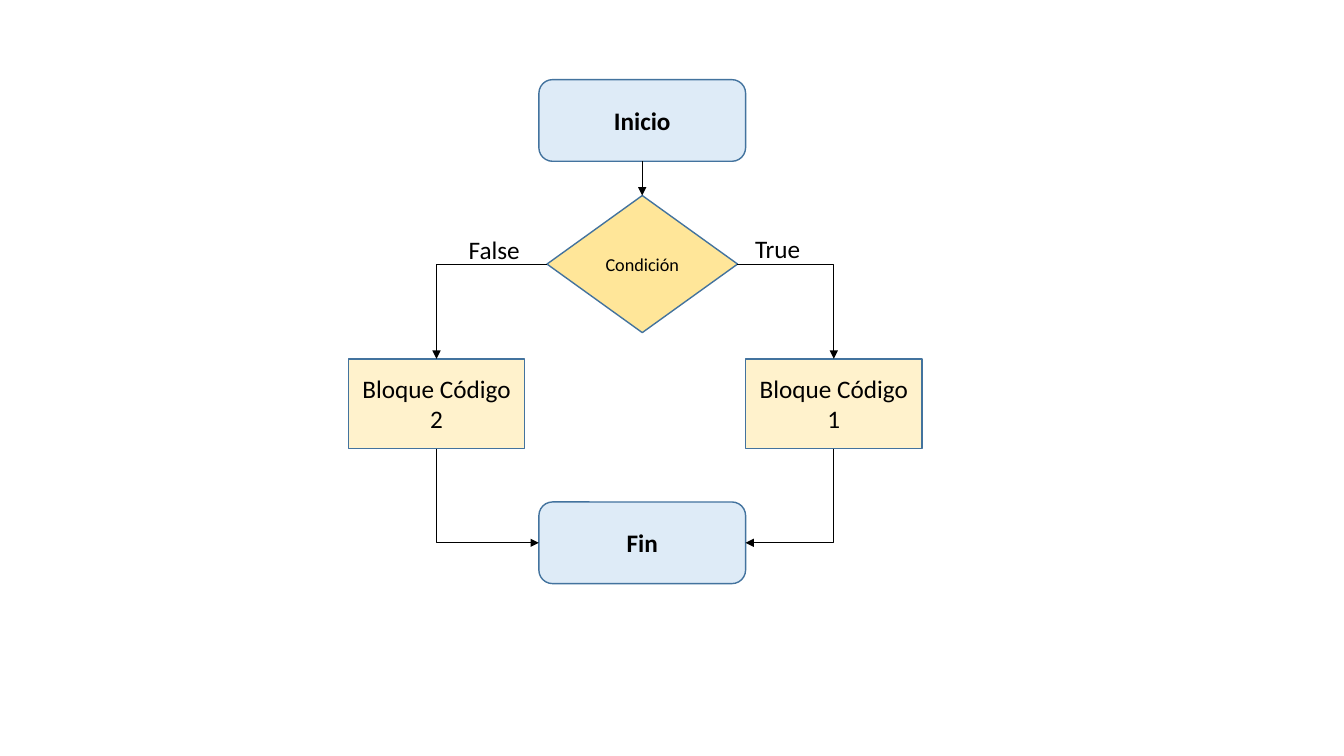
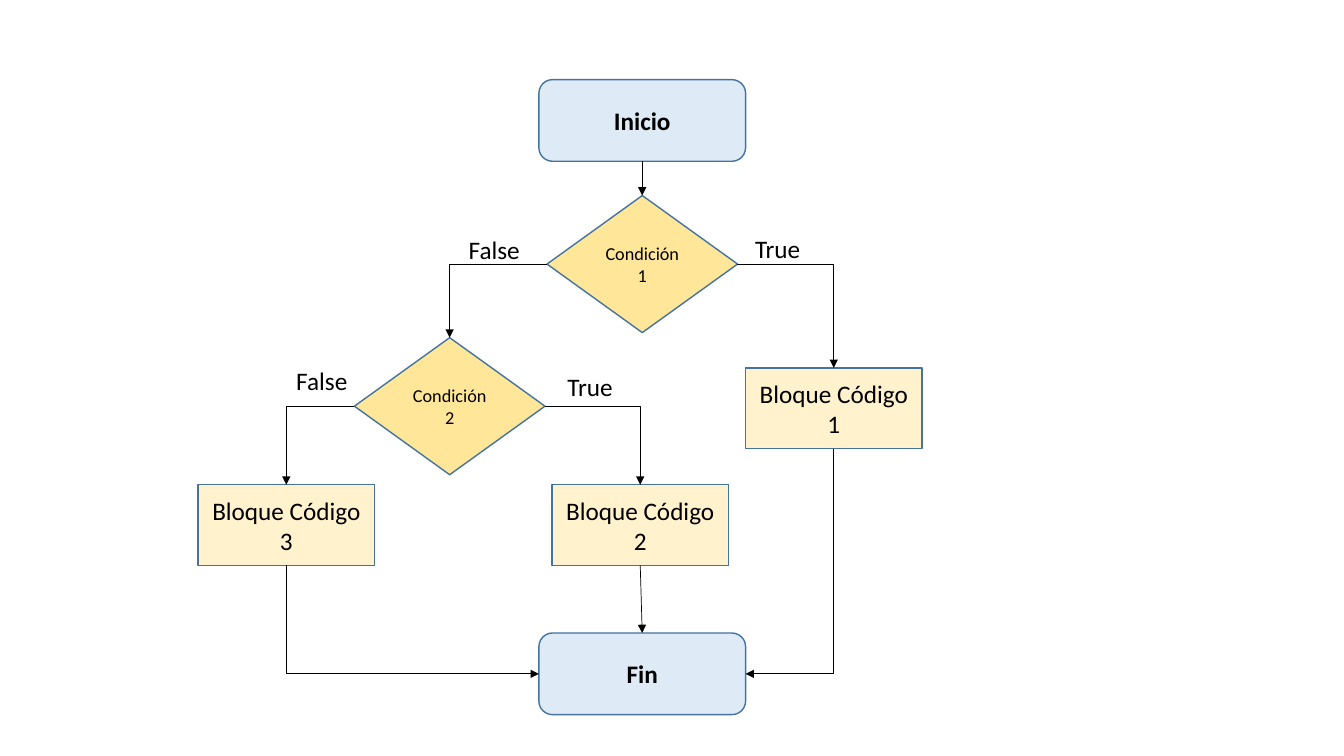
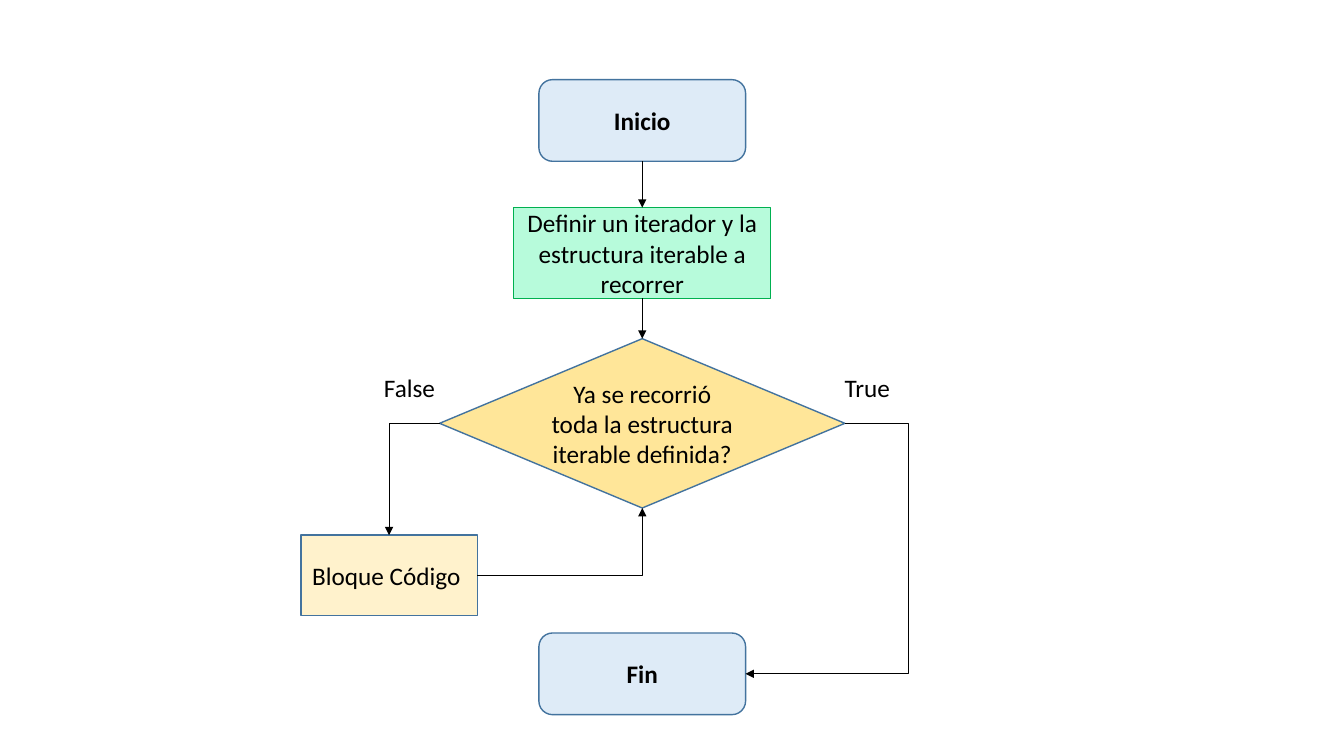
from lxml import etree
from pptx import Presentation
from pptx.dml.color import RGBColor
from pptx.enum.shapes import MSO_CONNECTOR, MSO_SHAPE
from pptx.enum.text import MSO_ANCHOR, PP_ALIGN
from pptx.oxml.ns import qn
from pptx.util import Inches, Pt

ROUNDED = MSO_SHAPE.ROUNDED_RECTANGLE
RECTANGLE = MSO_SHAPE.RECTANGLE
DIAMOND = MSO_SHAPE.DIAMOND
STRAIGHT = MSO_CONNECTOR.STRAIGHT
ELBOW = MSO_CONNECTOR.ELBOW
LEFT, CENTER = PP_ALIGN.LEFT, PP_ALIGN.CENTER
TOP_ANCHOR, MIDDLE = MSO_ANCHOR.TOP, MSO_ANCHOR.MIDDLE

COLORS = {
    "terminal": "DEEBF7",
    "condition": "FFE699",
    "block": "FFF2CC",
    "setup": "B7FBDB",
    "outline": "43739E",
    "setup_outline": "00B050",
    "ink": "000000",
}
FONT = "Calibri"
SITES = {"top": 0, "left": 1, "bottom": 2, "right": 3}
AXIS = 6.37

KINDS = {
    "terminal": dict(preset=ROUNDED, size=(2.05, 0.81), bold=True),
    "condition": dict(preset=DIAMOND, size=(1.89, 1.36), points=13),
    "question": dict(preset=DIAMOND, size=(4.02, 1.68), fill="condition"),
    "tall_block": dict(preset=RECTANGLE, size=(1.75, 0.89), fill="block"),
    "block": dict(preset=RECTANGLE, size=(1.75, 0.8)),
    "setup": dict(preset=RECTANGLE, size=(2.55, 0.9), outline="setup_outline"),
}

START = ("terminal", "Inicio", AXIS, 0.79)
LOW_END = ("terminal", "Fin", AXIS, 6.28)
BRANCH_LABELS = [("True", 7.39, 2.27), ("False", 4.55, 2.28)]

FLOWCHARTS = [
    {
        "nodes": {
            "start": START,
            "end": ("terminal", "Fin", AXIS, 4.98),
            "condition": ("condition", "Condición", AXIS, 1.94),
            "block 1": ("tall_block", "Bloque Código 1", 8.27, 3.56),
            "block 2": ("tall_block", "Bloque Código 2", 4.33, 3.56),
        },
        "labels": BRANCH_LABELS,
        "arrows": [
            ("start", "bottom", "condition", "top"),
            ("condition", "right", "block 1", "top"),
            ("block 1", "bottom", "end", "right"),
            ("condition", "left", "block 2", "top"),
            ("block 2", "bottom", "end", "left"),
        ],
    },
    {
        "nodes": {
            "start": START,
            "end": LOW_END,
            "condition 1": ("condition", "Condición 1", AXIS, 1.94),
            "condition 2": ("condition", "Condición 2", 4.46, 3.35),
            "block 1": ("block", "Bloque Código 1", 8.27, 3.65),
            "block 2": ("block", "Bloque Código 2", 6.35, 4.81),
            "block 3": ("block", "Bloque Código 3", 2.84, 4.81),
        },
        "labels": BRANCH_LABELS + [("True", 5.53, 3.63), ("False", 2.84, 3.58)],
        "arrows": [
            ("start", "bottom", "condition 1", "top"),
            ("condition 1", "right", "block 1", "top"),
            ("block 1", "bottom", "end", "right"),
            ("condition 1", "left", "condition 2", "top"),
            ("condition 2", "left", "block 3", "top"),
            ("condition 2", "right", "block 2", "top"),
            ("block 3", "bottom", "end", "left"),
            ("block 2", "bottom", "end", "top"),
        ],
    },
    {
        "nodes": {
            "start": START,
            "end": LOW_END,
            "block": ("block", "Bloque Código ", 3.86, 5.31),
            "question": (
                "question",
                "Ya se recorrió toda la estructura iterable definida?",
                AXIS,
                3.36,
            ),
            "setup": (
                "setup",
                "Definir un iterador y la estructura iterable a recorrer",
                AXIS,
                2.06,
            ),
        },
        "labels": [("True", 8.28, 3.64), ("False", 3.71, 3.64)],
        "arrows": [
            ("start", "bottom", "setup", "top"),
            ("setup", "bottom", "question", "top"),
            ("question", "right", "end", "right"),
            ("question", "left", "block", "top"),
            ("block", "right", "question", "bottom"),
        ],
    },
]
DETOUR = -64200


def color(name):
    return RGBColor.from_string(COLORS[name])


def write(shape, text, points=18, bold=False, align=LEFT, anchor=TOP_ANCHOR):
    frame = shape.text_frame
    frame.word_wrap = True
    frame.vertical_anchor = anchor
    paragraph = frame.paragraphs[0]
    paragraph.alignment = align
    run = paragraph.add_run()
    run.text = text
    run.font.name = FONT
    run.font.size = Pt(points)
    run.font.bold = bold
    run.font.color.rgb = color("ink")


def add_node(slide, kind, text, center, top):
    style = KINDS[kind]
    width, height = style["size"]
    shape = slide.shapes.add_shape(
        style["preset"], Inches(center - width / 2), Inches(top),
        Inches(width), Inches(height))
    shape.shadow.inherit = False
    shape.fill.solid()
    shape.fill.fore_color.rgb = color(style.get("fill", kind))
    shape.line.color.rgb = color(style.get("outline", "outline"))
    shape.line.width = Pt(1)
    write(shape, text, points=style.get("points", 18),
          bold=style.get("bold", False), align=CENTER, anchor=MIDDLE)
    return shape


def add_label(slide, text, left, top):
    box = slide.shapes.add_textbox(
        Inches(left), Inches(top), Inches(0.84), Inches(0.4))
    write(box, text)


def turn_vertical_first(connector, transform):
    left, top = connector.left, connector.top
    width, height = connector.width, connector.height
    goes_left = transform.get("flipH") == "1"
    connector.left = left + (width - height) // 2
    connector.top = top + (height - width) // 2
    connector.width, connector.height = height, width
    transform.set("rot", "5400000" if goes_left else "16200000")
    transform.set("flipH", "0" if goes_left else "1")


def add_arrow(slide, source, source_side, target, target_side):
    straight = (source_side, target_side) == ("bottom", "top")
    connector = slide.shapes.add_connector(
        STRAIGHT if straight else ELBOW, 0, 0, 0, 0)
    connector.begin_connect(source, SITES[source_side])
    connector.end_connect(target, SITES[target_side])
    connector.line.color.rgb = color("ink")
    connector.line.width = Pt(0.5)
    properties = connector._element.spPr
    line = properties.find(qn("a:ln"))
    etree.SubElement(line, qn("a:tailEnd"), type="triangle")
    etree.SubElement(properties, qn("a:effectLst"))
    if straight:
        return
    geometry = properties.find(qn("a:prstGeom"))
    if source_side == target_side:
        guides = geometry.find(qn("a:avLst"))
        etree.SubElement(guides, qn("a:gd"), name="adj1", fmla=f"val {DETOUR}")
        return
    geometry.set("prst", "bentConnector2")
    if source_side == "bottom":
        turn_vertical_first(connector, properties.find(qn("a:xfrm")))


presentation = Presentation()
presentation.slide_width = Inches(13.33)
presentation.slide_height = Inches(7.5)
for flowchart in FLOWCHARTS:
    slide = presentation.slides.add_slide(presentation.slide_layouts[6])
    nodes = {name: add_node(slide, *node)
             for name, node in flowchart["nodes"].items()}
    for label in flowchart["labels"]:
        add_label(slide, *label)
    for source, source_side, target, target_side in flowchart["arrows"]:
        add_arrow(slide, nodes[source], source_side, nodes[target], target_side)
presentation.save("out.pptx")
